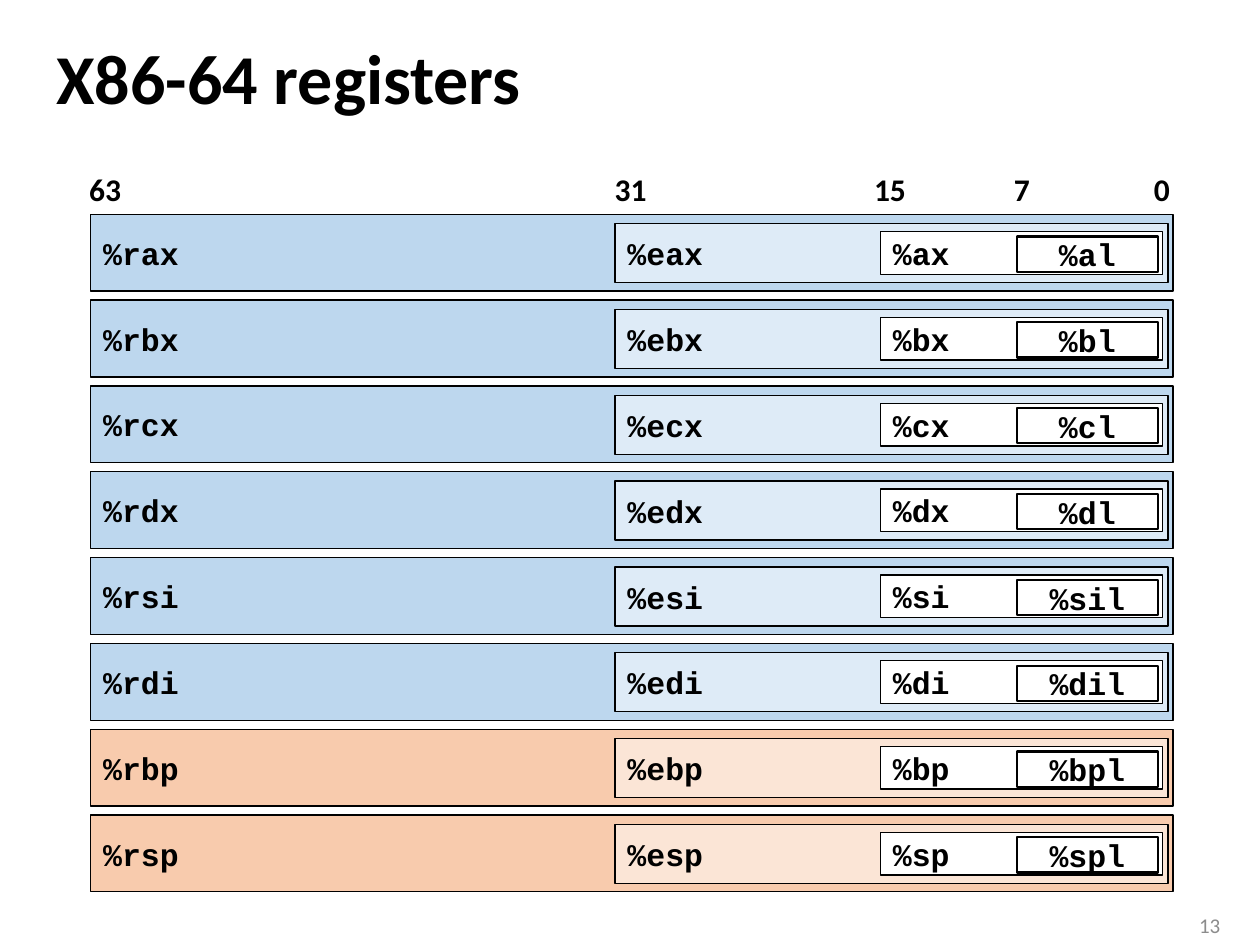
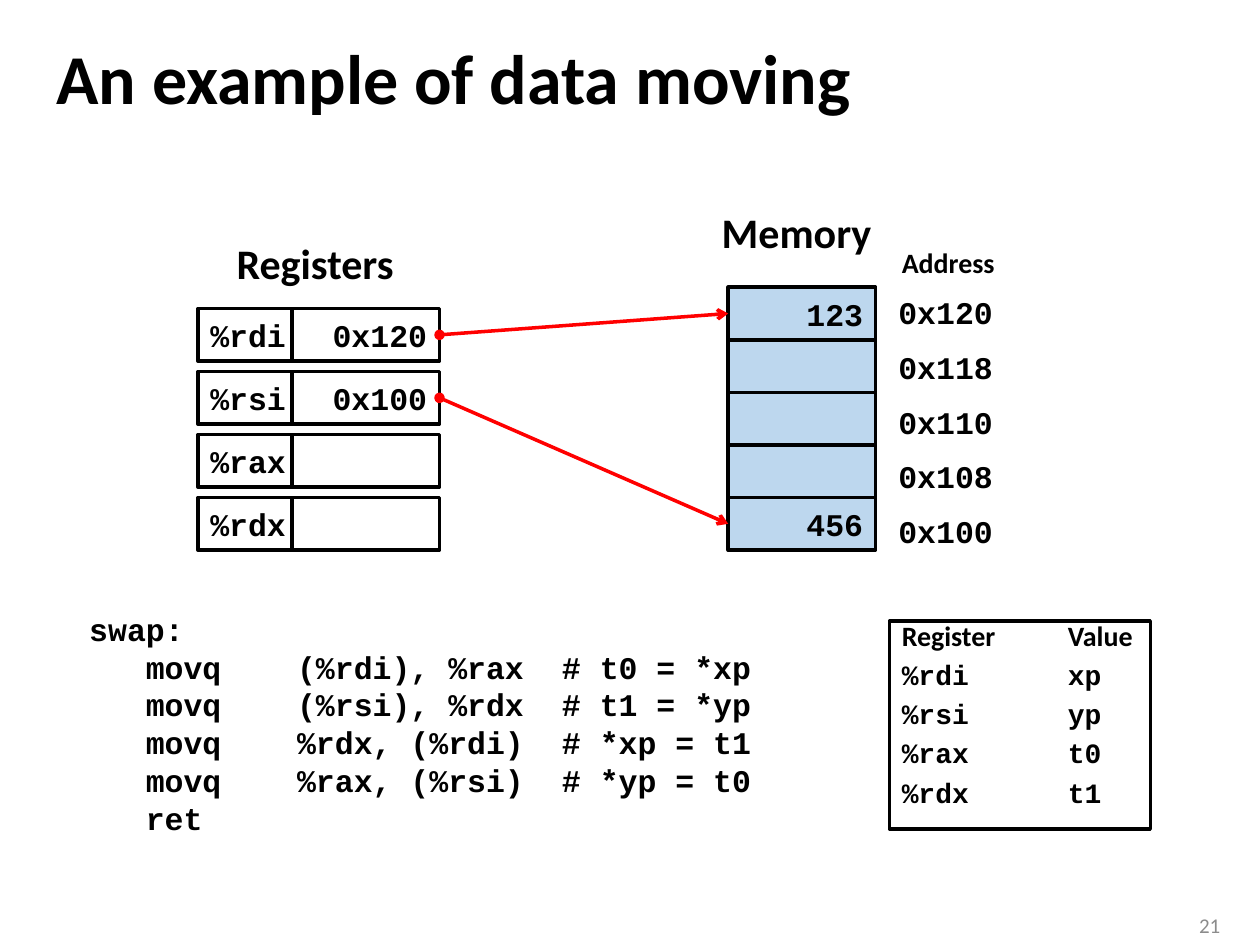
import pptx
from pptx.dml.color import RGBColor
from pptx.enum.shapes import MSO_CONNECTOR, MSO_SHAPE
from pptx.enum.text import MSO_ANCHOR, PP_ALIGN
from pptx.oxml.ns import qn
from pptx.oxml.xmlchemy import OxmlElement
from pptx.util import Cm, Pt

COLOURS = {
    "black": "000000", "white": "FFFFFF", "grey": "8C8C8C", "red": "FF0000",
    "blue": "BDD7EE", "pale blue": "DEEBF7",
    "orange": "F8CBAD", "pale orange": "FBE5D6",
}
SANS, MONO = "Calibri", "Courier New"
ALIGN = {"left": PP_ALIGN.LEFT, "center": PP_ALIGN.CENTER, "right": PP_ALIGN.RIGHT}

# Register file: names, and the nested fields as left, inset from row top, width, height
GENERAL_REGISTERS = ["ax", "bx", "cx", "dx", "si", "di"]
STACK_REGISTERS = ["bp", "sp"]
ROW_TOP, ROW_PITCH = 4.32, 1.73
QUAD = (1.83, 0, 21.82, 1.55)
DOUBLE = (12.4, 0.19, 11.15, 1.19)
WORD = (17.75, 0.35, 5.69, 0.86)
BYTE = (20.5, 0.45, 2.84, 0.71)
BIT_LABELS = [("63", 1.55), ("31", 12.14), ("15", 17.37), ("7", 20.19), ("0", 23.01)]

# Data moving
REGISTER_VALUES = [("%rdi", "0x120"), ("%rsi", "0x100"), ("%rax", ""), ("%rdx", "")]
MEMORY = [("0x120", "123"), ("0x118", ""), ("0x110", ""), ("0x108", ""), ("0x100", "456")]
HEADINGS = [
    ("Registers", (4.52, 4.67, 3.76, 1.27), 24),
    ("Memory", (14.3, 4.04, 3.56, 1.27), 24),
    ("Address", (17.93, 4.83, 3.38, 0.94), 16),
]
SWAP_CODE = [
    "swap:",
    "\tmovq\t(%rdi), %rax\t# t0 = *xp",
    "\tmovq\t(%rsi), %rdx\t# t1 = *yp",
    "\tmovq\t%rdx, (%rdi)\t# *xp = t1",
    "\tmovq\t%rax, (%rsi)\t# *yp = t0",
    "\tret",
]
CODE_TABS = (1.14, 4.19, 9.53)
LEGEND = ["Register\tValue", "%rdi\txp", "%rsi\typ", "%rax\tt0", "%rdx\tt1"]
CELL_HEIGHT, VALUE_WIDTH = 1.06, 2.97


def colour(name):
    return RGBColor.from_string(COLOURS[name])


def set_tabs(paragraph, stops):
    tab_list = OxmlElement("a:tabLst")
    for stop in stops:
        tab = OxmlElement("a:tab")
        tab.set("pos", str(Cm(stop)))
        tab.set("algn", "l")
        tab_list.append(tab)
    paragraph._p.get_or_add_pPr().append(tab_list)


def write(slide, text, at, *, font=SANS, size=18, bold=True, ink="black", align="left",
          middle=False, wrap=True, fill=None, border=None, tabs=(), line_spacing=None,
          gap=None, first_font=None):
    """Add text at (left, top, width, height) in cm; a border width makes it a rectangle."""
    place = [Cm(length) for length in at]
    if border:
        box = slide.shapes.add_shape(MSO_SHAPE.RECTANGLE, *place)
        box.shadow.inherit = False
        box.line.color.rgb = colour("black")
        box.line.width = Pt(border)
        if fill:
            box.fill.solid()
            box.fill.fore_color.rgb = colour(fill)
        else:
            box.fill.background()
    else:
        box = slide.shapes.add_textbox(*place)
    frame = box.text_frame
    frame.word_wrap = wrap
    frame.vertical_anchor = MSO_ANCHOR.MIDDLE if middle else MSO_ANCHOR.TOP
    lines = [text] if isinstance(text, str) else text
    for number, line in enumerate(lines):
        paragraph = frame.add_paragraph() if number else frame.paragraphs[0]
        paragraph.alignment = ALIGN[align]
        if line_spacing:
            paragraph.line_spacing = line_spacing
        if gap and number:
            paragraph.space_before = Pt(gap)
        if tabs:
            set_tabs(paragraph, tabs)
        if line:
            run = paragraph.add_run()
            run.text = line
            run.font.name = first_font if first_font and number == 0 else font
            run.font.size = Pt(size)
            run.font.bold = bold
            run.font.color.rgb = colour(ink)
    return box


def cell(slide, text, at, **style):
    return write(slide, text, at, **{"font": MONO, "middle": True, "border": 2, **style})


def add_pointer(slide, register, target):
    """Join a register's right side to a memory cell's left side."""
    pointer = slide.shapes.add_connector(MSO_CONNECTOR.STRAIGHT, 0, 0, 0, 0)
    pointer.begin_connect(register, 3)
    pointer.end_connect(target, 1)
    pointer.line.color.rgb = colour("red")
    pointer.line.width = Pt(2)
    properties = pointer.element.spPr
    outline = properties.find(qn("a:ln"))
    for end, kind in (("a:headEnd", "oval"), ("a:tailEnd", "arrow")):
        mark = OxmlElement(end)
        mark.set("type", kind)
        outline.append(mark)
    properties.append(OxmlElement("a:effectLst"))


def start_slide(deck, title, page):
    slide = deck.slides.add_slide(deck.slide_layouts[6])
    write(slide, title, (0.89, 0.48, 23.6, 2.34), size=40, middle=True, line_spacing=0.9)
    write(slide, page, (23.55, 18.26, 1.3, 0.79), size=12, bold=False, ink="grey",
          align="right", middle=True)
    return slide


def build_register_file(deck):
    slide = start_slide(deck, "X86-64 registers", "13")
    for row, name in enumerate(GENERAL_REGISTERS + STACK_REGISTERS):
        tint = "orange" if name in STACK_REGISTERS else "blue"
        low_byte = name.removesuffix("x") + "l"
        fields = [
            ("%r" + name, QUAD, tint, 0.75, "left"),
            ("%e" + name, DOUBLE, "pale " + tint, 0.75, "left"),
            ("%" + name, WORD, "white", 0.75, "left"),
            ("%" + low_byte, BYTE, "white", 1.25, "center"),
        ]
        for label, (left, inset, width, height), fill, border, align in fields:
            top = ROW_TOP + row * ROW_PITCH + inset
            cell(slide, label, (left, top, width, height),
                 fill=fill, border=border, align=align)
    for bit, left in BIT_LABELS:
        width = 1.17 if len(bit) == 2 else 0.84
        write(slide, bit, (left, 3.3, width, 1.02), wrap=False)


def build_data_moving(deck):
    slide = start_slide(deck, "An example of data moving", "21")
    memory_cells = {}
    for row, (address, value) in enumerate(MEMORY):
        memory_cells[address] = cell(
            slide, value, (14.68, 5.79 + row * CELL_HEIGHT, VALUE_WIDTH, CELL_HEIGHT),
            fill="blue", align="right", wrap=False)
        write(slide, address, (17.86, 5.79 + row * 1.1, 3.38, 1.02), font=MONO)

    value_cells = []
    for row, (name, value) in enumerate(REGISTER_VALUES):
        top = 6.22 + row * 1.27
        cell(slide, name, (3.99, top, 1.9, CELL_HEIGHT), fill="white", wrap=False)
        value_cells.append(cell(slide, value, (5.89, top, VALUE_WIDTH, CELL_HEIGHT),
                                fill="white", align="right", wrap=False))

    for heading, at, size in HEADINGS:
        write(slide, heading, at, size=size, wrap=False)
    write(slide, SWAP_CODE, (1.55, 12.17, 16.31, 4.88), font=MONO, tabs=CODE_TABS)
    write(slide, LEGEND, (17.93, 12.52, 5.26, 4.19), font=MONO, first_font=SANS, size=16,
          border=2, tabs=(3.35,), line_spacing=0.7, gap=9)

    for (_, address), register in zip(REGISTER_VALUES, value_cells):
        if address:
            add_pointer(slide, register, memory_cells[address])


def main():
    deck = pptx.Presentation()
    deck.slide_width, deck.slide_height = Cm(25.4), Cm(19.05)
    build_register_file(deck)
    build_data_moving(deck)
    deck.save("out.pptx")


if __name__ == "__main__":
    main()
